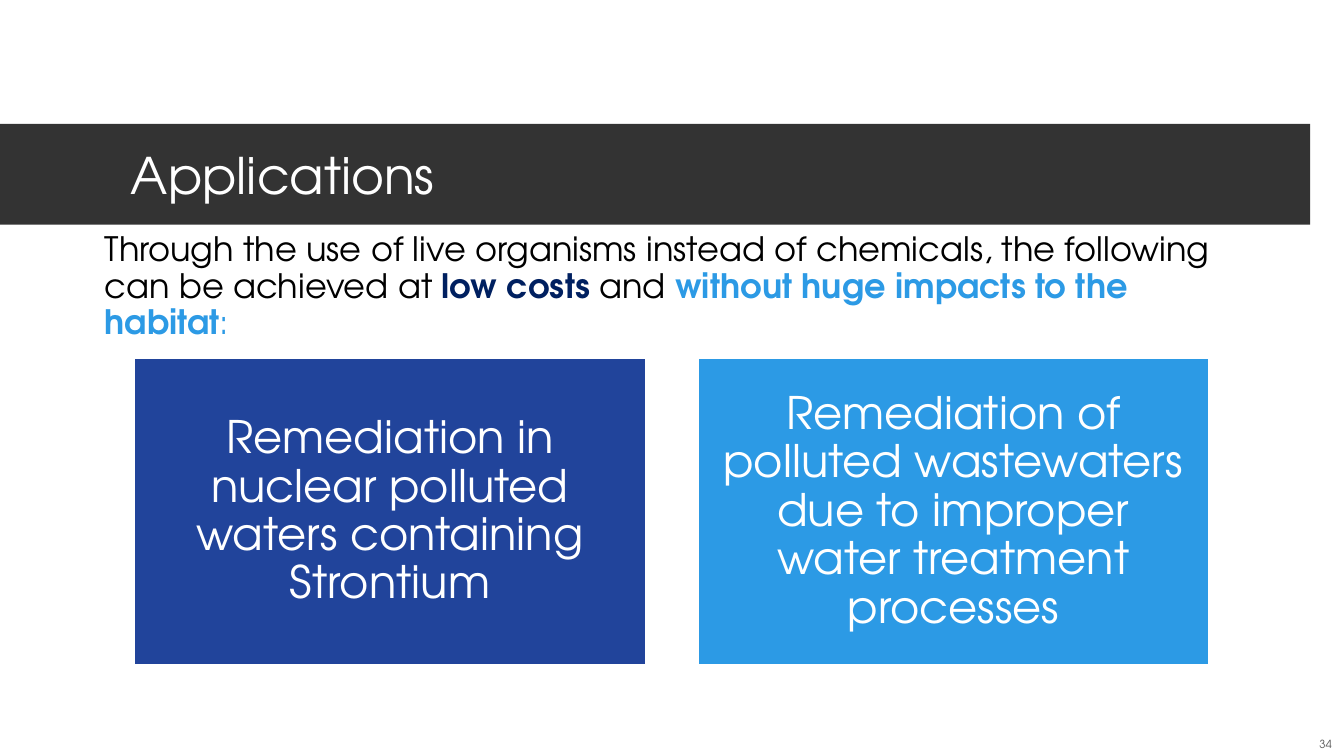
from pptx import Presentation
from pptx.dml.color import RGBColor as Rgb
from pptx.enum.shapes import MSO_SHAPE as Kind
from pptx.enum.text import MSO_ANCHOR as Anchor, PP_ALIGN as Align
from pptx.util import Cm, Pt

FONT = "TeX Gyre Adventor"
HUES = {
    "band": "333333",
    "white": "FFFFFF",
    "black": "000000",
    "grey": "595959",
    "navy": "002060",
    "blue": "21449B",
    "sky": "2C9AE5",
}
INTRO = [
    ("Through the use of live organisms instead of chemicals, "
     "the following can be achieved at ", "black", False),
    ("low costs ", "navy", True),
    ("and ", "black", False),
    ("without huge impacts to the habitat", "sky", True),
    (":", "sky", False),
]
CARDS = [
    ("Remediation in nuclear polluted waters containing Strontium", "blue"),
    ("Remediation of polluted wastewaters due to improper "
     "water treatment processes", "sky"),
]


def hue(name):
    return Rgb.from_string(HUES[name])


def style(run, size, color, bold=False):
    font = run.font
    font.name = FONT
    font.size = Pt(size)
    font.bold = bold
    font.color.rgb = hue(color)


def place(box):
    return [Cm(n) for n in box]


def inset(frame, left, top, right, base):
    frame.margin_left = Cm(left)
    frame.margin_top = Cm(top)
    frame.margin_right = Cm(right)
    frame.margin_bottom = Cm(base)


def write(frame, text, size, color, align):
    frame.word_wrap = True
    frame.vertical_anchor = Anchor.MIDDLE
    frame.text = text
    para = frame.paragraphs[0]
    para.alignment = align
    style(para.runs[0], size, color)
    return para


def block(slide, box, fill):
    shape = slide.shapes.add_shape(Kind.RECTANGLE, *place(box))
    shape.shadow.inherit = False
    shape.fill.solid()
    shape.fill.fore_color.rgb = hue(fill)
    shape.line.fill.background()
    return shape


def title(slide, text):
    shape = block(slide, (0, 3.12, 33.02, 2.54), "band")
    inset(shape.text_frame, 3.3, 0.13, 0.76, 0.13)
    write(shape.text_frame, text, 36, "white", Align.LEFT)


def intro(slide, parts):
    frame = slide.shapes.add_textbox(*place((2.39, 5.74, 29.11, 4.7))).text_frame
    frame.word_wrap = True
    para = frame.paragraphs[0]
    para.line_spacing = 0.9
    for text, color, bold in parts:
        run = para.add_run()
        run.text = text
        style(run, 24, color, bold)


def card(slide, left, text, fill):
    shape = block(slide, (left, 9.02, 12.9, 7.75), fill)
    shape.line.color.rgb = hue("white")
    shape.line.width = Pt(2)
    inset(shape.text_frame, 0.33, 0.33, 0.33, 0.33)
    para = write(shape.text_frame, text, 32, "white", Align.CENTER)
    para.line_spacing = 0.9


def number(slide, text):
    box = slide.shapes.add_textbox(*place((32.56, 18.24, 1.7, 1.02)))
    write(box.text_frame, text, 8, "grey", Align.CENTER)


def main():
    deck = Presentation()
    deck.slide_width = Cm(33.87)
    deck.slide_height = Cm(19.05)
    slide = deck.slides.add_slide(deck.slide_layouts[6])
    title(slide, "Applications")
    number(slide, "34")
    intro(slide, INTRO)
    for i, (text, fill) in enumerate(CARDS):
        card(slide, 3.38 + 14.2 * i, text, fill)
    deck.save("out.pptx")


if __name__ == "__main__":
    main()
